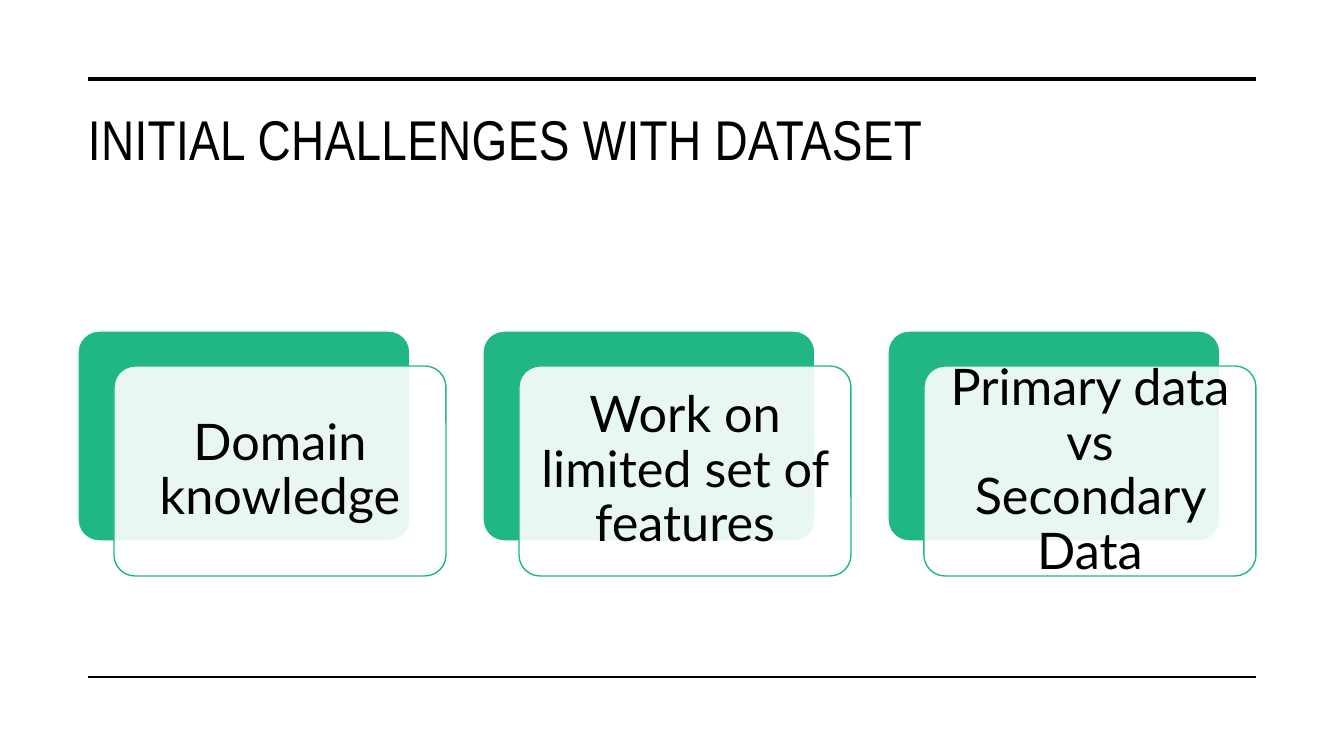
from lxml import etree
from pptx import Presentation
from pptx.dml.color import RGBColor
from pptx.enum.shapes import MSO_CONNECTOR, MSO_SHAPE
from pptx.enum.text import MSO_ANCHOR, PP_ALIGN
from pptx.oxml.ns import qn
from pptx.util import Pt

PX = 12192000 / 1344  # EMU in one px
COLORS = {"black": "000000", "white": "FFFFFF", "green": "21B782"}


def place(*lengths):
    return [round(length * PX) for length in lengths]


def add_text(area, text, inset, frame_format, para_format, font_format):
    box = page.shapes.add_textbox(*place(*area))
    frame = box.text_frame
    frame.word_wrap = True
    for side, length in zip(("left", "top", "right", "bottom"), place(*inset)):
        setattr(frame, f"margin_{side}", length)
    para = frame.paragraphs[0]
    span = para.add_run()
    span.text = text
    span.font.color.rgb = RGBColor.from_string(COLORS["black"])
    for target, values in ((frame, frame_format), (para, para_format), (span.font, font_format)):
        for name, value in values.items():
            setattr(target, name, value)
    return span


deck = Presentation()
deck.slide_width, deck.slide_height = place(1344, 756)
page = deck.slides.add_slide(deck.slide_layouts[6])

# Title
title = add_text((78, 100, 1178, 127), "INITIAL CHALLENGES WITH DATASET", (10, 5, 10, 5),
                 {"vertical_anchor": MSO_ANCHOR.TOP}, {"alignment": PP_ALIGN.LEFT},
                 {"name": "Arial Narrow", "size": Pt(40)})
title.font._element.set("spc", "30")

# Rules above and below the content
for y, weight in ((79, 3.5), (677, 1)):
    rule = page.shapes.add_connector(MSO_CONNECTOR.STRAIGHT, *place(88, y, 1256, y))
    rule.line.color.rgb = RGBColor.from_string(COLORS["black"])
    rule.line.width = Pt(weight)
    etree.SubElement(rule._element.spPr, qn("a:effectLst"))

# Challenge cards: a green back and a translucent front, with text on top
challenges = ["Domain knowledge", "Work on limited set of features", "Primary data vs Secondary Data"]
for index, challenge in enumerate(challenges):
    left, top = 78 + 405 * index, 331
    for shift_x, shift_y, fill, outline in ((0, 0, "green", "white"), (36, 35, "white", "green")):
        card = page.shapes.add_shape(MSO_SHAPE.ROUNDED_RECTANGLE,
                                     *place(left + shift_x, top + shift_y, 332, 210))
        card.adjustments[0] = 0.1
        card.shadow.inherit = False
        card.fill.solid()
        card.fill.fore_color.rgb = RGBColor.from_string(COLORS[fill])
        card.line.color.rgb = RGBColor.from_string(COLORS[outline])
        card.line.width = Pt(1)
    # The front card is 90% opaque
    front_color = card._element.spPr.find(qn("a:solidFill")).find(qn("a:srgbClr"))
    etree.SubElement(front_color, qn("a:alpha"), val="90000")
    add_text((left + 42, top + 41, 320, 198), challenge, (15, 15, 15, 15),
             {"vertical_anchor": MSO_ANCHOR.MIDDLE},
             {"alignment": PP_ALIGN.CENTER, "line_spacing": 0.9},
             {"name": "Lato", "size": Pt(36)})

deck.save("out.pptx")
